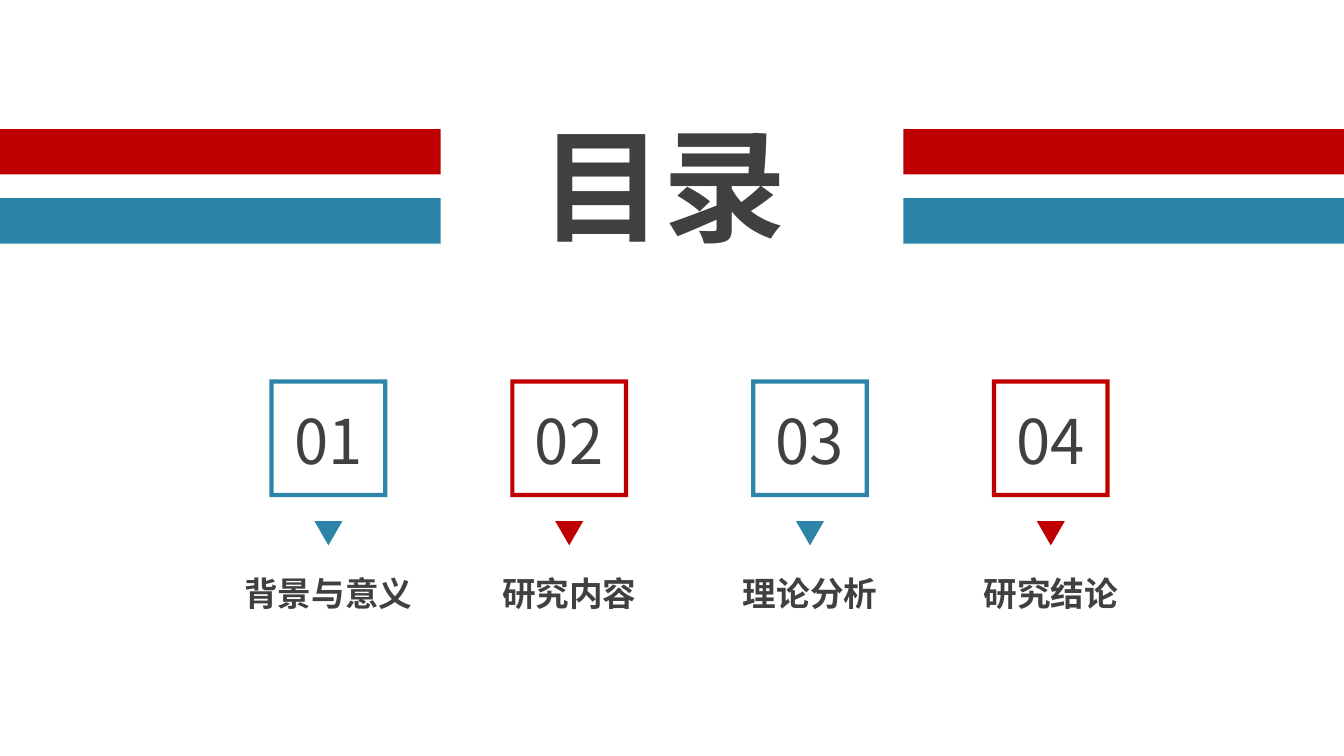
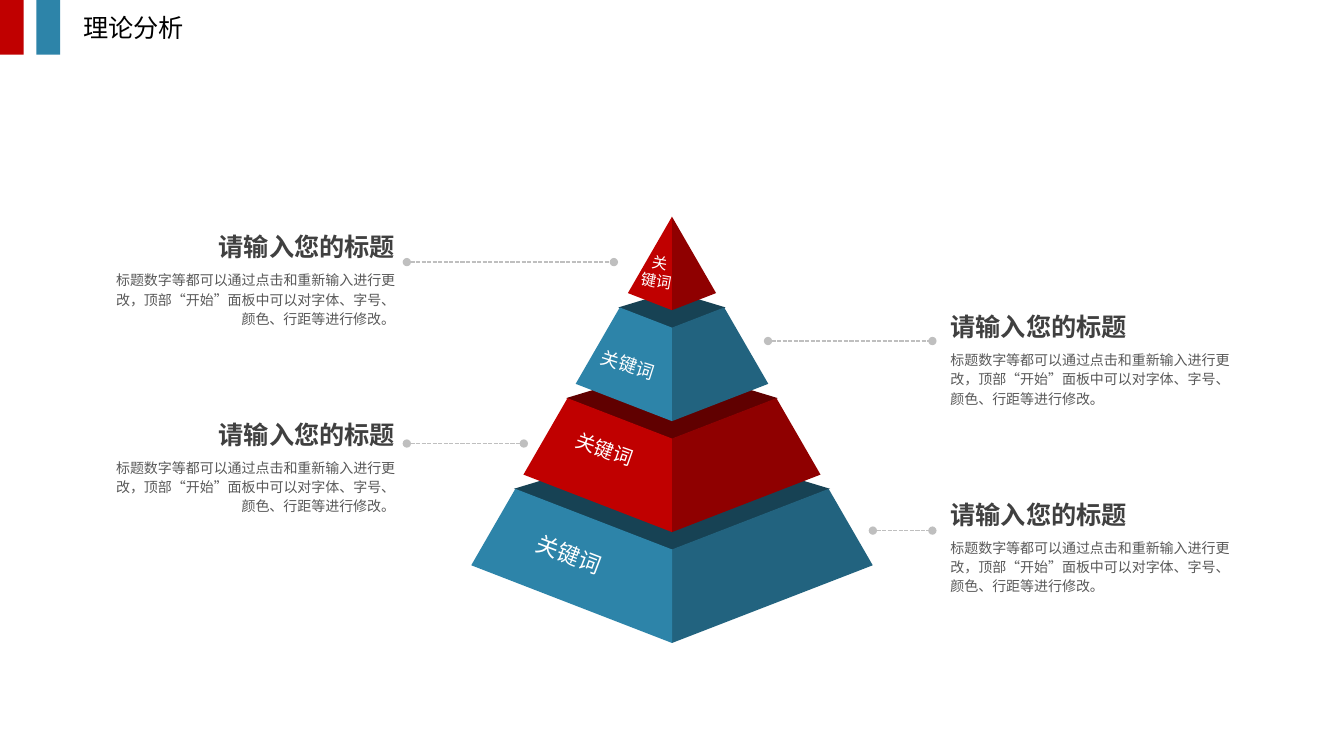
from lxml import etree
from pptx import Presentation
from pptx.dml.color import RGBColor
from pptx.enum.dml import MSO_LINE
from pptx.enum.shapes import MSO_CONNECTOR, MSO_SHAPE
from pptx.enum.text import MSO_ANCHOR, MSO_AUTO_SIZE, PP_ALIGN
from pptx.oxml.ns import qn
from pptx.util import Pt

LEFT, CENTER, RIGHT = PP_ALIGN.LEFT, PP_ALIGN.CENTER, PP_ALIGN.RIGHT
MIDDLE = MSO_ANCHOR.MIDDLE
GROW = MSO_AUTO_SIZE.SHAPE_TO_FIT_TEXT
RECTANGLE, FRAME, DOWN_TRIANGLE = MSO_SHAPE.RECTANGLE, MSO_SHAPE.FRAME, MSO_SHAPE.FLOWCHART_MERGE
STRAIGHT = MSO_CONNECTOR.STRAIGHT
DASH = MSO_LINE.SQUARE_DOT

WIDTH, HEIGHT = 960, 540
FONT = "Noto Sans CJK SC"
COLORS = {
    "red": "C00000", "red_side": "8F0000", "red_lid": "600000",
    "blue": "2D84A9", "blue_side": "22637F", "blue_lid": "174254",
    "title": "404040", "body": "595959", "header": "000000",
    "line": "BFBFBF", "white": "FFFFFF",
}
CALLOUT_TITLE = "请输入您的标题"
CALLOUT_BODY = "标题数字等都可以通过点击和重新输入进行更改，顶部“开始”面板中可以对字体、字号、颜色、行距等进行修改。"


def color(name):
    return RGBColor.from_string(COLORS[name])


def paint(shape, fill):
    shape.shadow.inherit = False
    shape.fill.solid()
    shape.fill.fore_color.rgb = color(fill)
    shape.line.fill.background()
    return shape


def add_block(slide, kind, left, top, width, height, fill):
    return paint(slide.shapes.add_shape(kind, Pt(left), Pt(top), Pt(width), Pt(height)), fill)


def add_polygon(slide, points, fill):
    corners = [(Pt(x), Pt(y)) for x, y in points]
    builder = slide.shapes.build_freeform(*corners[0], scale=1.0)
    builder.add_line_segments(corners[1:], close=True)
    return paint(builder.convert_to_shape(), fill)


def add_text(slide, left, top, width, height, text, size, fill,
             align=LEFT, bold=False, spacing=None, wrap=True):
    box = slide.shapes.add_textbox(Pt(left), Pt(top), Pt(width), Pt(height))
    frame = box.text_frame
    frame.word_wrap = wrap
    frame.auto_size = GROW
    paragraph = frame.paragraphs[0]
    paragraph.alignment = align
    if spacing:
        paragraph.line_spacing = spacing
    for index, line in enumerate(text.split("\n")):
        if index:
            paragraph.add_line_break()
        run = paragraph.add_run()
        run.text = line
        run.font.size = Pt(size)
        run.font.bold = bold
        run.font.color.rgb = color(fill)
        run.font.name = FONT
        etree.SubElement(run.font._element, qn("a:ea"), typeface=FONT)
    return box


def add_dotted_line(slide, start, end, y):
    connector = slide.shapes.add_connector(STRAIGHT, Pt(start), Pt(y), Pt(end), Pt(y))
    connector.line.color.rgb = color("line")
    connector.line.width = Pt(1)
    connector.line.dash_style = DASH
    line = connector.line._get_or_add_ln()
    for end_name in ("a:headEnd", "a:tailEnd"):
        etree.SubElement(line, qn(end_name), type="oval")
    etree.SubElement(connector._element.spPr, qn("a:effectLst"))


def add_stripes(slide, left, top, width):
    for index, fill in enumerate(("red", "blue")):
        add_block(slide, RECTANGLE, left, top + index * 49.4, width, 32.4, fill)


def add_contents_item(slide, center, top, number, caption, fill):
    side = 84.2
    frame = add_block(slide, FRAME, center - side / 2, top, side, side, fill)
    frame.adjustments[0] = 0.036
    add_block(slide, DOWN_TRIANGLE, center - 10, top + 101.2, 20, 17.4, fill)
    add_text(slide, center - side / 2, top + 13.6, side, 60.5, number, 44, "title", CENTER)
    add_text(slide, center - 73.5, top + 134.6, 147, 36, caption, 24, "title", CENTER, True)


def add_header(slide, title):
    for left, fill in ((0, "red"), (26, "blue")):
        add_block(slide, RECTANGLE, left, 0, 17, 39, fill)
    add_text(slide, 52.5, 5, 268, 28.8, title, 18, "header")


def add_tier(slide, center, top, half, hue):
    foot_half, foot = half + 31.5, top + 54.6
    drop, rise = 0.387, 0.302
    ridge = (center, top + half * drop)
    base = (center, foot + foot_half * drop)
    if half:
        lid = half + 1
        add_polygon(slide, [(center, top - lid * rise), (center - lid, top),
                            (center, top + lid * drop), (center + lid, top)], hue + "_lid")
    for sign, fill in ((1, hue + "_side"), (-1, hue)):
        outline = [ridge, base, (center + sign * foot_half, foot)]
        if half:
            outline.append((center + sign * half, top))
        add_polygon(slide, outline, fill)


def add_tier_label(slide, center, middle, text, size, angle):
    width, height = 60, 24
    box = add_text(slide, center - width / 2, middle - height / 2, width, height,
                   text, size, "white", CENTER, wrap=False)
    frame = box.text_frame
    frame.auto_size = MSO_AUTO_SIZE.NONE
    frame.vertical_anchor = MIDDLE
    frame.margin_left = frame.margin_right = frame.margin_top = frame.margin_bottom = 0
    box.rotation = angle


def add_pyramid(slide, center, top):
    labels = [
        ("关\n键词", 11, 9.9, -9.8, 39.2),
        ("关键词", 13, 17.6, -31.4, 105.5),
        ("关键词", 14, 19.4, -48, 166),
        ("关键词", 16, 20.7, -73.6, 240.8),
    ]
    for level in reversed(range(len(labels))):
        hue = ("red", "blue")[level % 2]
        add_tier(slide, center, top + level * 64.8, level * 37.3, hue)
    for text, size, angle, shift, depth in labels:
        add_tier_label(slide, center + shift, top + depth, text, size, angle)


def add_callout(slide, left, top, align, line_end, line_y):
    width, title_width = 219.6, 168
    title_left = left + width - title_width if align == RIGHT else left
    add_text(slide, title_left, top, title_width, 28.8, CALLOUT_TITLE, 18, "title", align, True)
    add_text(slide, left, top + 27, width, 49, CALLOUT_BODY, 10, "body", align, spacing=1.14)
    line_start = left + width + 1.4 if align == RIGHT else left - 5.8
    add_dotted_line(slide, *sorted((line_start, line_end)), line_y)


def build_contents(slide):
    stripe = 314.7
    for left in (0, WIDTH - stripe):
        add_stripes(slide, left, 92.2, stripe)
    add_text(slide, 364.5, 74.2, 219, 113.8, "目录", 88, "title", CENTER, True, wrap=False)
    captions = ("背景与意义", "研究内容", "理论分析", "研究结论")
    for index, caption in enumerate(captions):
        fill = ("blue", "red")[index % 2]
        add_contents_item(slide, 234.6 + index * 172, 271, f"{index + 1:02}", caption, fill)


def build_analysis(slide):
    add_header(slide, "理论分析")
    add_pyramid(slide, WIDTH / 2, 154.8)
    callouts = [
        (69.6, 162, RIGHT, 438.5, 187.2),
        (69.6, 296, RIGHT, 374.2, 316.8),
        (671.8, 219, LEFT, 548.6, 243.6),
        (671.8, 353, LEFT, 623.5, 379),
    ]
    for callout in callouts:
        add_callout(slide, *callout)


def main():
    presentation = Presentation()
    presentation.slide_width, presentation.slide_height = Pt(WIDTH), Pt(HEIGHT)
    blank = presentation.slide_layouts[6]
    for build in (build_contents, build_analysis):
        build(presentation.slides.add_slide(blank))
    presentation.save("out.pptx")


if __name__ == "__main__":
    main()
